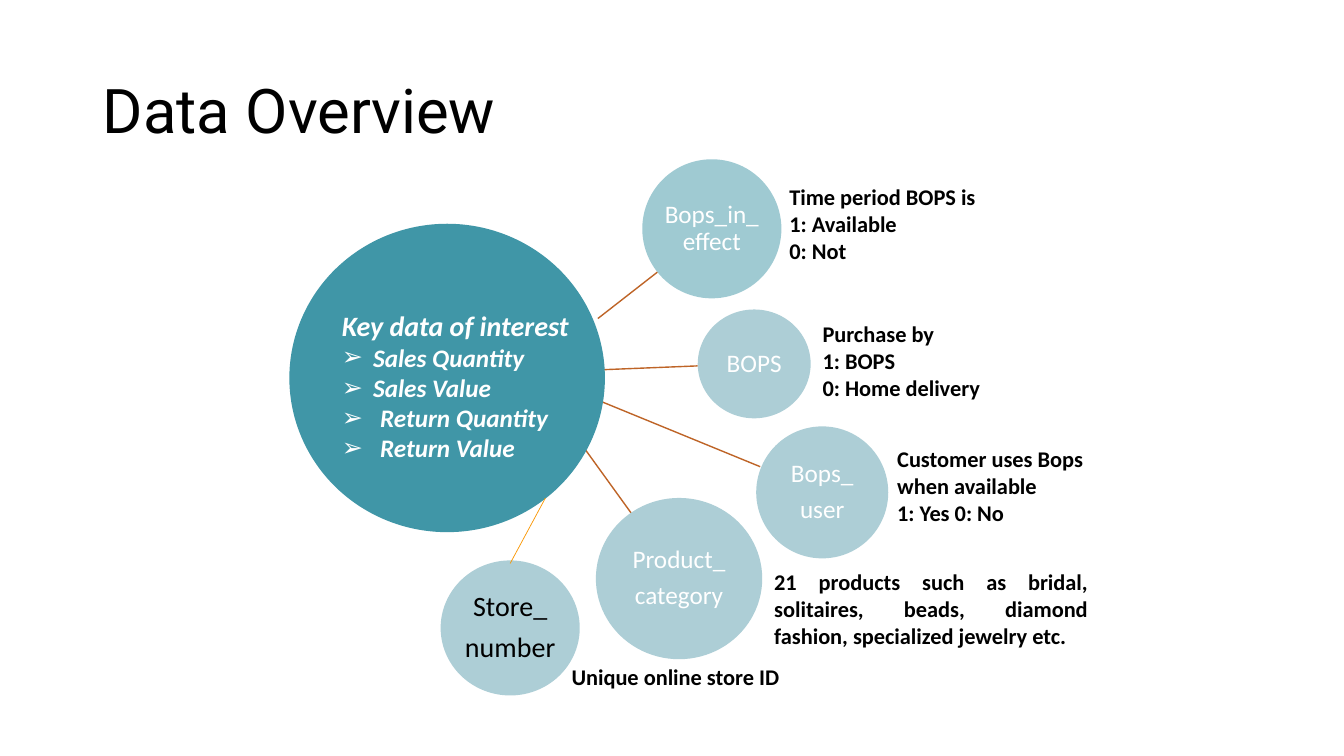
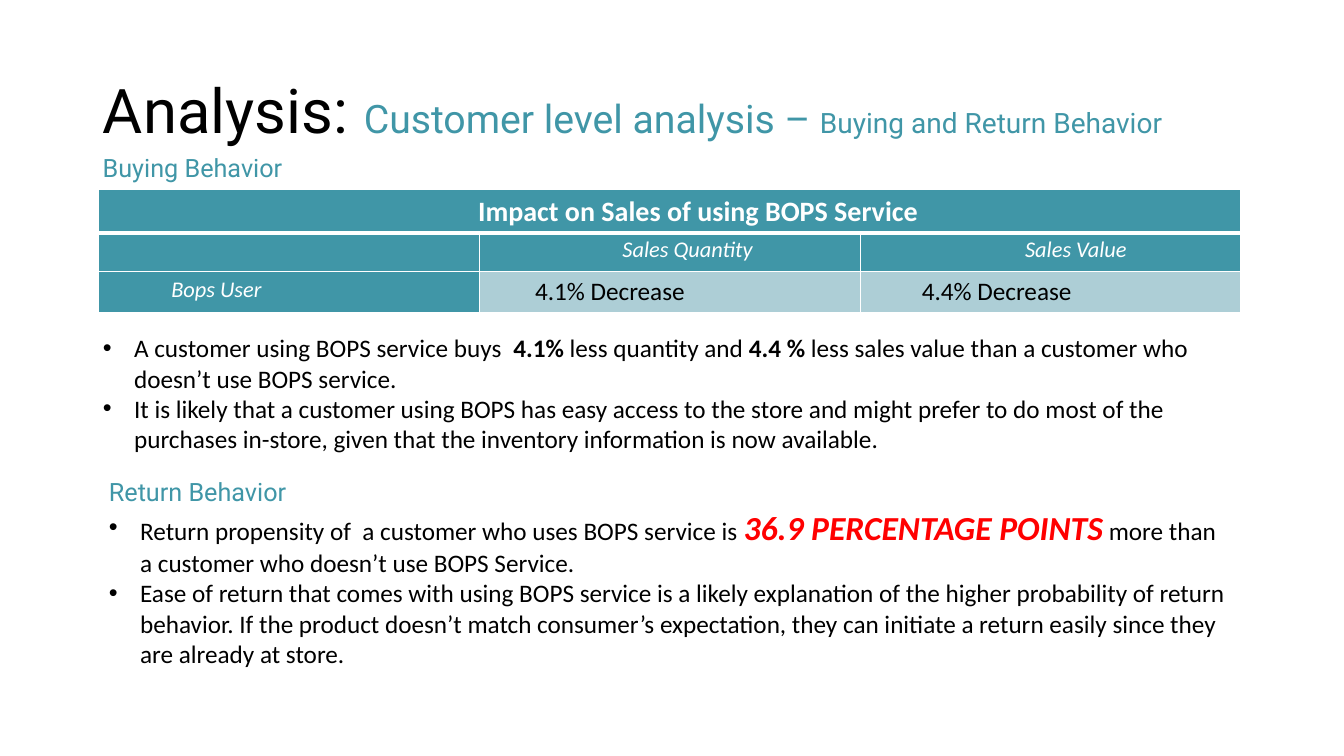
from dataclasses import dataclass

from lxml.etree import SubElement
from pptx import Presentation
from pptx.dml.color import RGBColor
from pptx.enum.shapes import MSO_CONNECTOR as Connector, MSO_SHAPE as Shape
from pptx.enum.text import MSO_ANCHOR as Anchor, MSO_AUTO_SIZE as AutoSize, PP_ALIGN as Align
from pptx.oxml.ns import qn
from pptx.util import Inches, Pt


@dataclass(frozen=True)
class Theme:
    teal: str = "4096A7"
    pale: str = "ADCED6"
    rust: str = "BE6427"
    amber: str = "FA9600"
    red: str = "FF0000"
    black: str = "000000"
    white: str = "FFFFFF"
    head_font: str = "Roboto"
    body_font: str = "Calibri"
    title: int = 44
    subtitle: int = 28
    accent: int = 24
    large: int = 20
    body: int = 18
    note: int = 16


T = Theme()
TITLE_BOX = (0.92, 0.74, 11.5, 0.77)

# Slide 1: boxes are left, top, width, height; lines are x1, y1, x2, y2
HUB = (2.87, 2.22, 3.13, 3.06)
KEY_BOX = (3.29, 3.01, 2.72, 1.65)
KEY_HEADING = "Key data of interest"
KEY_ITEMS = [("Sales Quantity", 0.31), ("Sales Value", 0.31),
             ("Return Quantity", 0.38), ("Return Value", 0.38)]
SPOKES = [(5.74, 4.37, 6.26, 5.09), (5.93, 3.97, 7.54, 4.63),
          (5.93, 3.67, 6.92, 3.63), (5.93, 3.16, 6.52, 2.7)]
STORE_SPOKE = (5.06, 5.59, 5.41, 4.94)
# lines, box, fill, opacity, text colour, size
FIELDS = [
    (["Bops_in_effect"], (6.37, 1.58, 1.38, 1.38), T.teal, 50, T.white, T.body),
    (["BOPS"], (6.92, 3.07, 1.12, 1.08), T.pale, 100, T.white, T.body),
    (["Bops_", "user"], (7.5, 4.23, 1.31, 1.31), T.pale, 100, T.white, T.body),
    (["Product_", "category"], (5.91, 4.94, 1.65, 1.6), T.pale, 100, T.white, T.body),
    (["Store_", "number"], (4.37, 5.56, 1.38, 1.34), T.pale, 100, T.black, T.large),
]
FIELD_NOTES = [
    (["Time period BOPS is", "1: Available", "0: Not"], (7.73, 1.77, 2.41, 0.91), Align.LEFT),
    (["Purchase by", "1: BOPS", "0: Home delivery"], (8.06, 3.13, 2.36, 0.91), Align.LEFT),
    (["Customer uses Bops when available", "1: Yes 0: No"], (8.8, 4.37, 2.09, 0.91), Align.LEFT),
    (["21 products such as bridal, solitaires, beads, diamond fashion, "
      "specialized jewelry etc."], (7.58, 5.59, 3.31, 0.91), Align.JUSTIFY),
    (["Unique online store ID"], (5.57, 6.53, 2.49, 0.37), Align.JUSTIFY),
]

# Slide 2: a run is a text with the style that differs from its paragraph
ANALYSIS_TITLE = [
    ("Analysis: ", {}),
    ("Customer level analysis – ", dict(size=T.subtitle, color=T.teal)),
    ("Buying and Return Behavior", dict(size=T.large, color=T.teal)),
]
BUYING_HEADING, BUYING_HEADING_BOX = "Buying Behavior", (0.92, 1.46, 2.04, 0.4)
BUYING_BOX = (0.92, 3.25, 11.78, 1.31)
BUYING = [
    [("A customer using BOPS service buys  ", {}), ("4.1% ", dict(bold=True)),
     ("less quantity and ", {}), ("4.4 %", dict(bold=True)),
     (" less sales value than a customer who doesn’t use BOPS service.", {})],
    "It is likely that a customer using BOPS has easy access to the store and might prefer to do "
    "most of the purchases in-store, given that the inventory information is now available.",
]
RETURN_HEADING = "Return Behavior"
RETURN_BOX = (0.98, 4.68, 11.33, 2.32)
RETURNS = [
    [("Return propensity of  a customer who uses BOPS service is ", {}),
     ("36.9 PERCENTAGE POINTS", dict(size=T.accent, color=T.red, bold=True, italic=True)),
     (" more than a customer who doesn’t use BOPS Service.", {})],
    "Ease of return that comes with using BOPS service is a likely explanation of the higher "
    "probability of return behavior. If the product doesn’t match consumer’s expectation, they can "
    "initiate a return easily since they are already at store.",
]
# Table cells: text, fill, left margin, alignment, style
LABEL = dict(size=T.note, color=T.white, italic=True)
VALUE = dict(size=T.body, color=T.black)
IMPACT_BOX, IMPACT_ROWS = (0.98, 2.29, 11.33, 0.81), [0.4, 0.41]
IMPACT = [
    [("", T.teal, 0.1, Align.LEFT, LABEL),
     ("Sales Quantity", T.teal, 0.45, Align.CENTER, LABEL),
     ("Sales Value", T.teal, 0.6, Align.CENTER, LABEL)],
    [("Bops User", T.teal, 0.72, Align.LEFT, LABEL),
     ("4.1% Decrease", T.pale, 0.55, Align.LEFT, VALUE),
     ("4.4% Decrease", T.pale, 0.61, Align.LEFT, VALUE)],
]
BANNER_BOX, BANNER_ROWS = (0.98, 1.88, 11.32, 0.43), [0.43]
BANNER = [[("Impact on Sales of using BOPS Service", T.teal, 0.67, Align.CENTER,
            dict(size=T.large, color=T.white, bold=True))]]


def rgb(color):
    return RGBColor.from_string(color)


def inches(box):
    return [Inches(v) for v in box]


def place(shape, box):
    shape.left, shape.top, shape.width, shape.height = inches(box)


def style(font, size=None, color=None, name=None, bold=None, italic=None):
    if size:
        font.size = Pt(size)
    if color:
        font.color.rgb = rgb(color)
    if name:
        font.name = name
    if bold is not None:
        font.bold = bold
    if italic is not None:
        font.italic = italic


def set_bullet(paragraph, char=None, indent=0.0):
    props = paragraph._p.get_or_add_pPr()
    props.set("marL", str(Inches(indent)))
    props.set("indent", str(-Inches(indent)))
    if char:
        SubElement(props, qn("a:buChar")).set("char", char)
    else:
        SubElement(props, qn("a:buNone"))


def add_text(frame, content, bullet=None, align=Align.LEFT, spacing=1.0, after=0,
             name=T.body_font, **look):
    """Write one paragraph; content is a string or a list of (text, style) runs."""
    first = frame.paragraphs[0]
    paragraph = first if not first.runs else frame.add_paragraph()
    if bullet:
        set_bullet(paragraph, *bullet)
    paragraph.alignment, paragraph.line_spacing = align, spacing
    paragraph.space_before, paragraph.space_after = Pt(0), Pt(after)
    style(paragraph.font, name=name, **look)
    for text, change in [(content, {})] if isinstance(content, str) else content:
        run = paragraph.add_run()
        run.text = text
        style(run.font, **change)


def add_title(slide, content):
    title = slide.shapes.title
    place(title, TITLE_BOX)
    frame = title.text_frame
    frame.auto_size, frame.vertical_anchor = AutoSize.NONE, Anchor.MIDDLE
    add_text(frame, content, spacing=0.9, name=T.head_font, size=T.title, color=T.black)


def open_body(slide, index, box):
    body = slide.placeholders[index]
    place(body, box)
    body.text_frame.auto_size = AutoSize.NONE
    body.text_frame.vertical_anchor = Anchor.TOP
    return body


def add_note(slide, lines, box, wrap=True, **look):
    frame = slide.shapes.add_textbox(*inches(box)).text_frame
    frame.word_wrap = wrap
    for line in lines:
        add_text(frame, line, **look)


def add_spoke(slide, ends, color, width):
    spoke = slide.shapes.add_connector(Connector.STRAIGHT, *inches(ends))
    spoke.line.color.rgb, spoke.line.width = rgb(color), Pt(width)
    SubElement(spoke._element.spPr, qn("a:effectLst"))


def add_circle(slide, box, fill, opacity=100):
    circle = slide.shapes.add_shape(Shape.OVAL, *inches(box))
    circle.shadow.inherit = False
    circle.fill.solid()
    circle.fill.fore_color.rgb = rgb(fill)
    circle.line.fill.background()
    if opacity < 100:
        tint = circle._element.spPr.find(".//" + qn("a:srgbClr"))
        SubElement(tint, qn("a:alpha")).set("val", str(opacity * 1000))
    return circle


def set_borders(cell, bottom):
    props = cell._tc.get_or_add_tcPr()
    for position, side in enumerate(("lnL", "lnR", "lnT", "lnB")):
        line = SubElement(props, qn("a:" + side))
        line.set("w", str(Pt(bottom if side == "lnB" else 1)))
        SubElement(SubElement(line, qn("a:solidFill")), qn("a:srgbClr")).set("val", T.white)
        props.insert(position, line)


def add_grid(slide, cells, box, heights, bottom):
    columns = len(cells[0])
    grid = slide.shapes.add_table(len(cells), columns, *inches(box)).table
    for column in grid.columns:
        column.width = Inches(box[2] / columns)
    for r, (height, row) in enumerate(zip(heights, cells)):
        grid.rows[r].height = Inches(height)
        for c, (text, fill, margin, align, look) in enumerate(row):
            cell = grid.cell(r, c)
            cell.fill.solid()
            cell.fill.fore_color.rgb = rgb(fill)
            cell.margin_left = Inches(margin)
            set_borders(cell, bottom)
            if text:
                add_text(cell.text_frame, text, align=align, **{"bold": False, **look})


def build_overview(prs):
    slide = prs.slides.add_slide(prs.slide_layouts[1])
    add_title(slide, "Data Overview")

    # Hub with its spokes and fields
    for ends in SPOKES:
        add_spoke(slide, ends, T.rust, 1)
    add_circle(slide, HUB, T.teal)
    for lines, box, fill, opacity, color, size in FIELDS:
        frame = add_circle(slide, box, fill, opacity).text_frame
        frame.word_wrap, frame.vertical_anchor = True, Anchor.MIDDLE
        frame.margin_left = frame.margin_right = Inches(0.01)
        frame.margin_top = frame.margin_bottom = Inches(0.01)
        for line in lines:
            add_text(frame, line, align=Align.CENTER, spacing=0.9, after=size * 0.35,
                     size=size, color=color)
    add_spoke(slide, STORE_SPOKE, T.amber, 0.5)

    # Key data list, brought in front of the hub
    key = open_body(slide, 1, KEY_BOX)
    slide.shapes._spTree.append(key._element)
    look = dict(color=T.white, bold=True, italic=True)
    add_text(key.text_frame, KEY_HEADING, bullet=(None,), size=T.large, **look)
    for item, indent in KEY_ITEMS:
        add_text(key.text_frame, item, bullet=("➢", indent), size=T.body, **look)

    # Explanations beside the fields
    for lines, box, align in FIELD_NOTES:
        add_note(slide, lines, box, align=align, size=T.note, color=T.black, bold=True)


def build_analysis(prs):
    slide = prs.slides.add_slide(prs.slide_layouts[3])
    add_title(slide, ANALYSIS_TITLE)
    heading = dict(name=T.head_font, size=T.body, color=T.teal)

    # Buying behavior
    add_note(slide, [BUYING_HEADING], BUYING_HEADING_BOX, wrap=False, **heading)
    add_grid(slide, IMPACT, IMPACT_BOX, IMPACT_ROWS, bottom=1)
    add_grid(slide, BANNER, BANNER_BOX, BANNER_ROWS, bottom=3)
    buying = open_body(slide, 1, BUYING_BOX).text_frame

    # Return behavior
    returns = open_body(slide, 2, RETURN_BOX).text_frame
    add_text(returns, RETURN_HEADING, bullet=(None,), **heading)

    for frame, items in ((buying, BUYING), (returns, RETURNS)):
        for item in items:
            add_text(frame, item, bullet=("•", 0.31), size=T.body, color=T.black)


def main():
    prs = Presentation()
    prs.slide_width, prs.slide_height = Inches(13.33), Inches(7.5)
    build_overview(prs)
    build_analysis(prs)
    prs.save("out.pptx")


if __name__ == "__main__":
    main()
